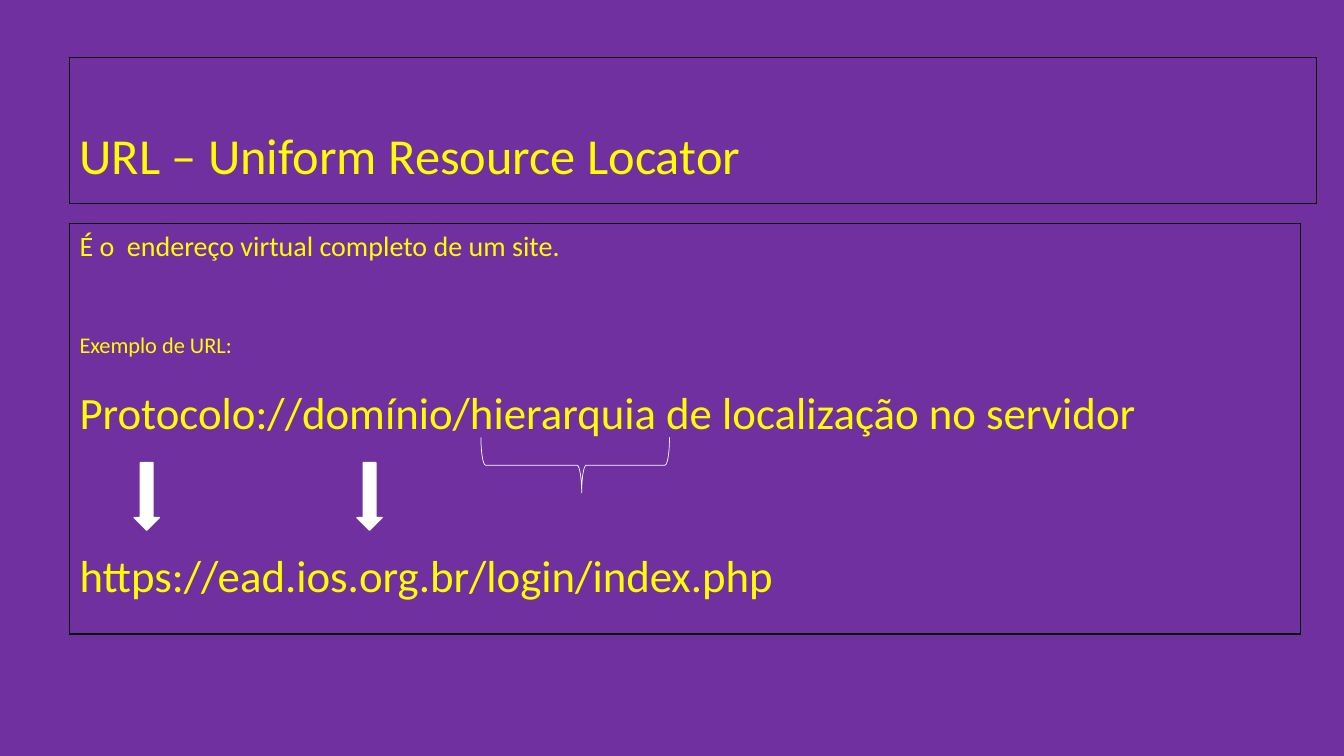
"""Build the slide that explains the parts of a URL."""
from dataclasses import dataclass, field
from typing import Any

from pptx import Presentation
from pptx.dml.color import RGBColor
from pptx.enum.shapes import MSO_SHAPE as Preset
from pptx.enum.text import MSO_ANCHOR as Anchor, PP_ALIGN as Align
from pptx.util import Inches, Pt

PURPLE, YELLOW, WHITE, BLACK = "7030A0", "FFFF00", "FFFFFF", "000000"


@dataclass
class Line:
    text: str
    size: float
    format: dict[str, Any] = field(default_factory=dict)


@dataclass
class Panel:
    place: tuple[float, float, float, float]
    frame: dict[str, Any]
    lines: list[Line]


@dataclass
class Mark:
    preset: Any
    place: tuple[float, float, float, float]
    width: float = 1
    fill: str | None = WHITE
    rotation: float = 0
    adjustments: tuple[float, ...] = ()


PANELS = [
    Panel((0.69, 0.57, 12.37, 1.45),
          {"vertical_anchor": Anchor.BOTTOM, "margin_bottom": Inches(0.18)},
          [Line("URL – Uniform Resource Locator", 36, {"line_spacing": 0.9})]),
    Panel((0.69, 2.22, 12.21, 4.07),
          {"vertical_anchor": Anchor.TOP},
          [Line("É o  endereço virtual completo de um site.", 20),
           Line("Exemplo de URL:", 16, {"space_before": Pt(49)}),
           Line("Protocolo://domínio/hierarquia de localização no servidor", 32,
                {"space_before": Pt(19.5)}),
           Line("https://ead.ios.org.br/login/index.php", 32,
                {"space_before": Pt(78)})]),
]
MARKS = [
    *(Mark(Preset.DOWN_ARROW, (left, 4.59, 0.25, 0.67)) for left in (1.33, 3.54)),
    Mark(Preset.RIGHT_BRACE, (5.43, 3.68, 0.55, 1.87), 0.5, None, 90, (0.083, 0.466)),
]


def color(value: str) -> RGBColor:
    """Turn a hex string into a colour."""
    return RGBColor.from_string(value)


def apply(target: Any, values: dict[str, Any]) -> None:
    """Set each named attribute on the target."""
    for name, value in values.items():
        setattr(target, name, value)


def add_shape(page: Any, preset: Any, place: tuple[float, ...],
              fill: str | None, line: str, width: float) -> Any:
    """Add a preset shape without a shadow."""
    shape = page.shapes.add_shape(preset, *map(Inches, place))
    shape.shadow.inherit = False
    if fill:
        shape.fill.solid()
        shape.fill.fore_color.rgb = color(fill)
    else:
        shape.fill.background()
    shape.line.color.rgb = color(line)
    shape.line.width = Pt(width)
    return shape


def draw_panel(page: Any, panel: Panel) -> None:
    """Draw an outlined box with its lines of text."""
    box = add_shape(page, Preset.RECTANGLE, panel.place, PURPLE, BLACK, 1)
    frame = box.text_frame
    apply(frame, {"word_wrap": True, **panel.frame})
    for index, line in enumerate(panel.lines):
        para = frame.add_paragraph() if index else frame.paragraphs[0]
        apply(para, {"alignment": Align.LEFT, **line.format})
        span = para.add_run()
        span.text = line.text
        apply(span.font, {"name": "Calibri", "size": Pt(line.size)})
        span.font.color.rgb = color(YELLOW)


def draw_mark(page: Any, mark: Mark) -> None:
    """Draw an arrow or a brace."""
    shape = add_shape(page, mark.preset, mark.place, mark.fill, WHITE, mark.width)
    shape.rotation = mark.rotation
    for index, value in enumerate(mark.adjustments):
        shape.adjustments[index] = value


def main() -> None:
    """Build and save the deck."""
    deck = Presentation()
    apply(deck, {"slide_width": Inches(13.33), "slide_height": Inches(7.5)})
    page = deck.slides.add_slide(deck.slide_layouts[6])
    page.background.fill.solid()
    page.background.fill.fore_color.rgb = color(PURPLE)
    for panel in PANELS:
        draw_panel(page, panel)
    for mark in MARKS:
        draw_mark(page, mark)
    deck.save("out.pptx")


if __name__ == "__main__":
    main()
